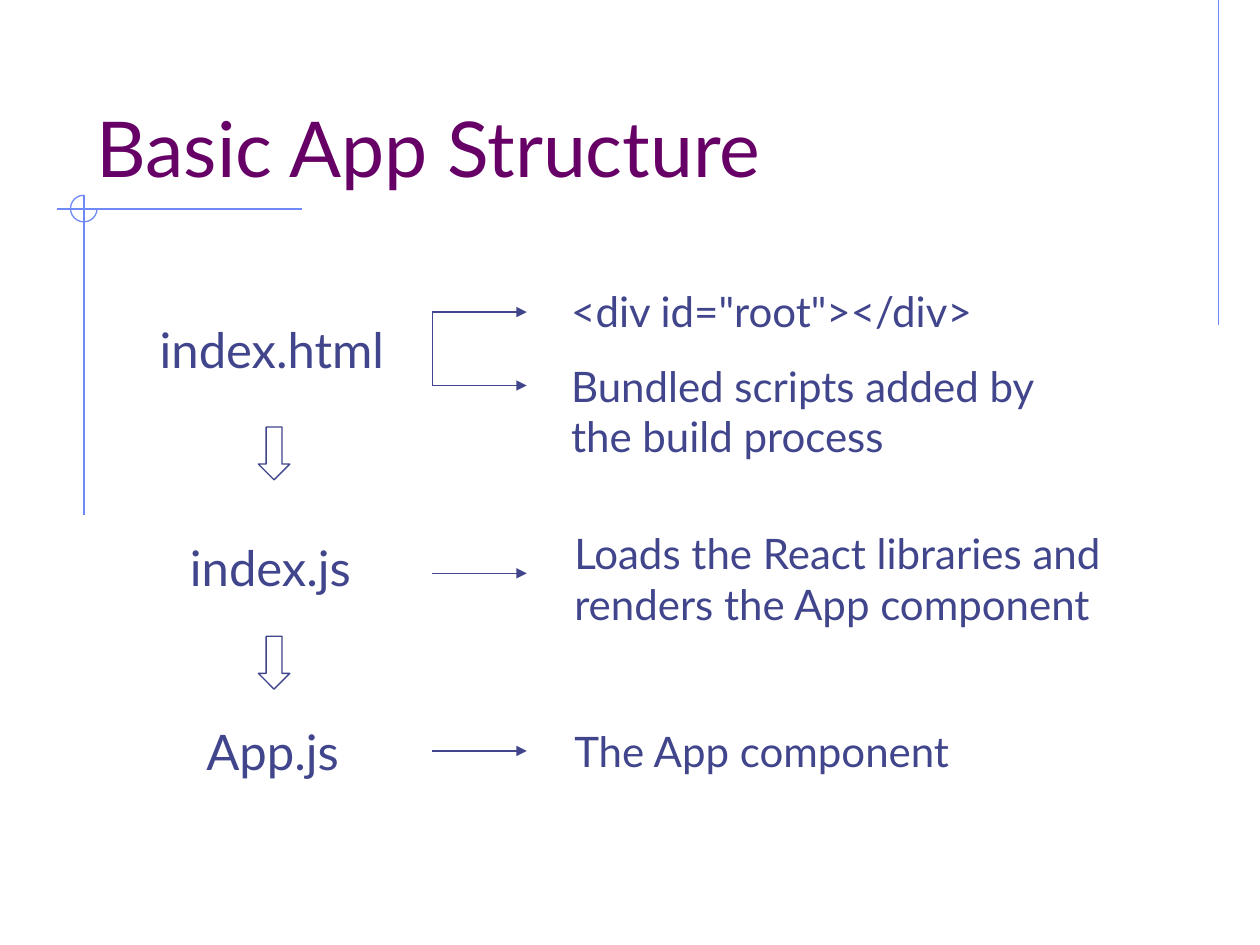
from lxml.etree import SubElement
from pptx import Presentation
from pptx.dml.color import RGBColor
from pptx.enum.shapes import MSO_CONNECTOR, MSO_SHAPE
from pptx.enum.text import MSO_ANCHOR
from pptx.oxml.ns import qn
from pptx.util import Pt

NAVY, PURPLE, BLUE = "40458C", "660066", "6F89F7"

prs = Presentation()
prs.slide_width, prs.slide_height = Pt(720), Pt(540)
s = prs.slides.add_slide(prs.slide_layouts[6])


def rgb(value):
    return RGBColor.from_string(value)


def add_text(x, y, w, h, lines, size, color=NAVY, anchor=MSO_ANCHOR.TOP):
    tf = s.shapes.add_textbox(Pt(x), Pt(y), Pt(w), Pt(h)).text_frame
    tf.word_wrap = False
    tf.vertical_anchor = anchor
    for i, line in enumerate(lines):
        p = tf.paragraphs[0] if i == 0 else tf.add_paragraph()
        r = p.add_run()
        r.text = line
        r.font.name, r.font.size = "Lato", Pt(size)
        r.font.color.rgb = rgb(color)


# Lines: frame, then bracket and arrows
ARROW_X1, ARROW_X2 = 247, 301
arrow_ys = [178.3, 220.3, 327.6, 429.1]
lines = [
    (696.2, 0, 696.2, 186, BLUE, False),
    (172.8, 119.4, 32.4, 119.4, BLUE, False),
    (48, 111.6, 48, 294.5, BLUE, False),
    (ARROW_X1, arrow_ys[0], ARROW_X1, arrow_ys[1], NAVY, False),
]
lines += [(ARROW_X1, y, ARROW_X2, y, NAVY, True) for y in arrow_ys]
for x1, y1, x2, y2, color, arrow in lines:
    c = s.shapes.add_connector(MSO_CONNECTOR.STRAIGHT, Pt(x1), Pt(y1), Pt(x2), Pt(y2))
    c.line.color.rgb = rgb(color)
    c.line.width = Pt(0.75)
    if arrow:
        SubElement(c.line._get_or_add_ln(), qn("a:tailEnd"), type="triangle")
    SubElement(c._element.spPr, qn("a:effectLst"))

# Three-quarter circle at the frame corner, and the down arrows
outlines = [
    (MSO_SHAPE.ARC, 40.3, 111.6, 15.2, 15.2, BLUE, (0, 162)),
    (MSO_SHAPE.DOWN_ARROW, 147.6, 244, 18, 30.2, NAVY, (0.5, 0.5)),
    (MSO_SHAPE.DOWN_ARROW, 147.6, 363.6, 18, 30.2, NAVY, (0.5, 0.5)),
]
for kind, x, y, w, h, color, adjustments in outlines:
    sp = s.shapes.add_shape(kind, Pt(x), Pt(y), Pt(w), Pt(h))
    for i, value in enumerate(adjustments):
        sp.adjustments[i] = value
    sp.fill.background()
    sp.line.color.rgb = rgb(color)
    sp.line.width = Pt(0.75)
    sp.shadow.inherit = False

# Title
add_text(48, 23.8, 612, 90, ["Basic App Structure"], 44, PURPLE, MSO_ANCHOR.BOTTOM)

# File names
for x, y, w, name in [
    (84.2, 179.3, 145.4, "index.html"),
    (101.5, 303.8, 110.2, "index.js"),
    (110.9, 409, 91.4, "App.js"),
]:
    add_text(x, y, w, 41, [name], 28)

# Descriptions
for x, y, w, h, text in [
    (319.3, 159.8, 262.8, 36.7, ['<div id="root"></div>']),
    (319.3, 202.3, 283.7, 65.5, ["Bundled scripts added by", "the build process"]),
    (321.1, 298.1, 324, 65.5, ["Loads the React libraries and", "renders the App component"]),
    (321.1, 411.1, 230.4, 36.7, ["The App component"]),
]:
    add_text(x, y, w, h, text, 24)

prs.save("out.pptx")
